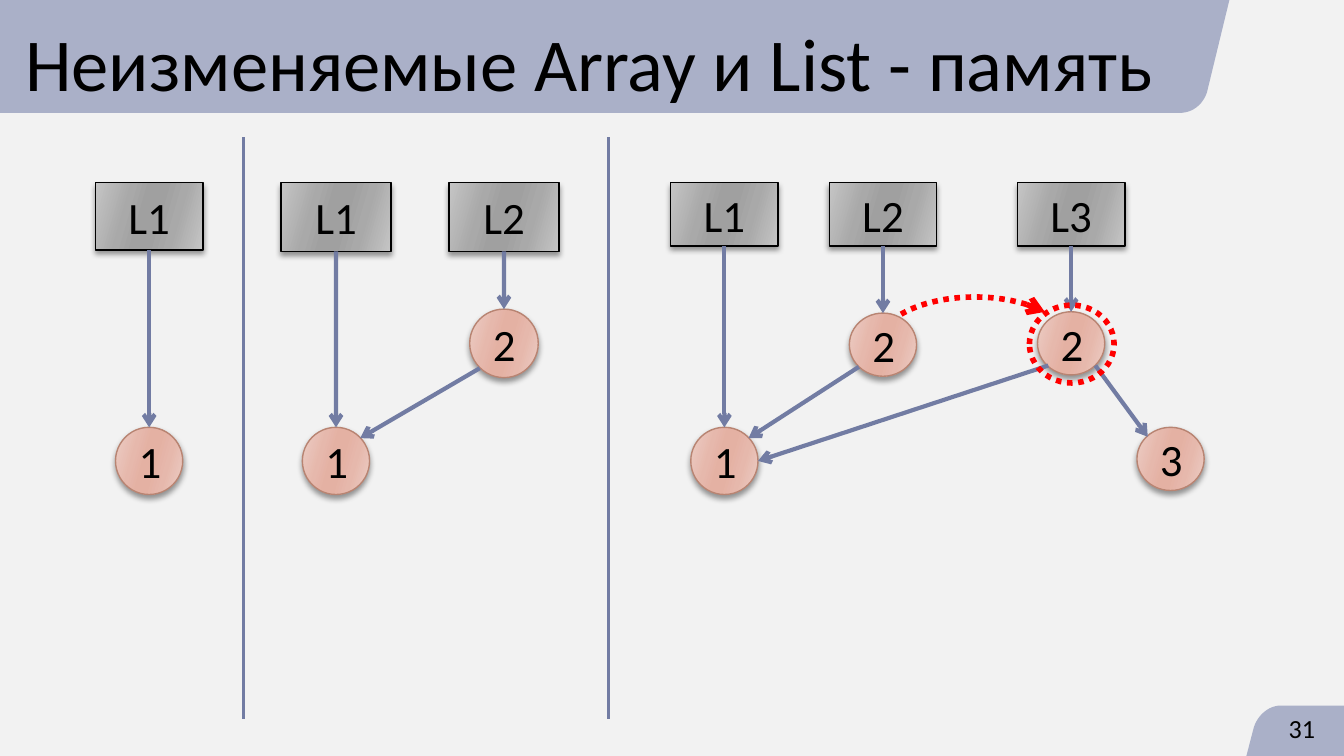
from lxml import etree
from pptx import Presentation
from pptx.dml.color import RGBColor
from pptx.enum.dml import MSO_LINE
from pptx.enum.shapes import MSO_CONNECTOR, MSO_SHAPE
from pptx.enum.text import MSO_ANCHOR, PP_ALIGN
from pptx.oxml.ns import qn
from pptx.util import Inches, Pt

STRAIGHT = MSO_CONNECTOR.STRAIGHT
RECTANGLE, OVAL, ARC = MSO_SHAPE.RECTANGLE, MSO_SHAPE.OVAL, MSO_SHAPE.ARC
DOTTED = MSO_LINE.ROUND_DOT
TOP, MIDDLE, BOTTOM = MSO_ANCHOR.TOP, MSO_ANCHOR.MIDDLE, MSO_ANCHOR.BOTTOM
LEFT, CENTER = PP_ALIGN.LEFT, PP_ALIGN.CENTER
TOP_SITE, BOTTOM_SITE = 0, 2
FONT = "Calibri"
COLORS = {
    "background": "F2F2F2", "band": "AAB0C8", "text": "000000",
    "link": "727CA3", "box_line": "000000", "node_line": "B88472",
    "highlight": "FF0000", "shadow": "000000",
}
GRADIENT_POSITIONS = (0, 30, 45, 55, 73, 100)
BOX_SHADES = ("C5C5C5", "A9A9A9", "A0A0A0")
NODE_SHADES = ("ECCEC6", "E6B8AC", "E4B1A3")
BOX_TOP = 1.36
LIST_HEADS = [
    ("L1", 0.71, 0.8, 0.5, "1", 3.18, 0.5, 0.5),
    ("L1", 2.09, 0.82, 0.51, "1", 3.18, 0.5, 0.5),
    ("L2", 3.34, 0.82, 0.51, "2", 2.3, 0.51, 0.51),
    ("L1", 4.99, 0.8, 0.47, "1", 3.18, 0.5, 0.5),
    ("L2", 6.17, 0.8, 0.47, "2", 2.33, 0.5, 0.47),
    ("L3", 7.57, 0.8, 0.47, "2", 2.32, 0.5, 0.47),
]
NODE_LINKS = [
    ((3.57, 2.74), (2.68, 3.26)),
    ((6.39, 2.73), (5.57, 3.26)),
    ((7.8, 2.72), (5.64, 3.43)),
    ((8.15, 2.72), (8.54, 3.25)),
]
DIVIDERS = (1.81, 4.53)


def rgb(name):
    """Return the palette colour with this name."""
    return RGBColor.from_string(COLORS[name])


def curve(start, first, second, end, steps=12):
    """Return points along a cubic Bezier curve."""
    points = []
    for step in range(steps + 1):
        t = step / steps
        weights = ((1 - t) ** 3, 3 * t * (1 - t) ** 2, 3 * t * t * (1 - t), t ** 3)
        corners = (start, first, second, end)
        points.append(tuple(sum(w * c[axis] for w, c in zip(weights, corners))
                            for axis in (0, 1)))
    return points


def add_band(page, points):
    """Draw a filled outline through points given in inches."""
    corners = [(Inches(x), Inches(y)) for x, y in points]
    builder = page.shapes.build_freeform(*corners[0])
    builder.add_line_segments(corners[1:], close=True)
    band = builder.convert_to_shape()
    band.shadow.inherit = False
    band.fill.solid()
    band.fill.fore_color.rgb = rgb("band")
    band.line.fill.background()


def write_text(shape, text, size=24, align=CENTER, anchor=MIDDLE):
    """Put one formatted line of text into a shape."""
    frame = shape.text_frame
    frame.word_wrap = True
    frame.vertical_anchor = anchor
    para = frame.paragraphs[0]
    para.alignment = align
    span = para.add_run()
    span.text = text
    span.font.name = FONT
    span.font.size = Pt(size)
    span.font.color.rgb = rgb("text")


def add_label(page, text, left, top, width, height, **style):
    """Add a text box."""
    box = page.shapes.add_textbox(Inches(left), Inches(top), Inches(width), Inches(height))
    write_text(box, text, align=LEFT, **style)


def paint_gradient(shape, shades):
    """Fill a shape with a symmetric gradient of three shades."""
    shape.fill.gradient()
    shape.fill.gradient_angle = 344
    stops = shape.element.spPr.find(qn("a:gradFill")).find(qn("a:gsLst"))
    for stop in list(stops):
        stops.remove(stop)
    for position, shade in zip(GRADIENT_POSITIONS, shades + shades[::-1]):
        stop = etree.SubElement(stops, qn("a:gs"), pos=str(position * 1000))
        etree.SubElement(stop, qn("a:srgbClr"), val=shade)


def add_soft_shadow(shape):
    """Give a shape a short shadow straight below it."""
    shape.shadow.inherit = False
    effects = shape.element.spPr.find(qn("a:effectLst"))
    shadow = etree.SubElement(effects, qn("a:outerShdw"), blurRad=str(Pt(3)),
                              dist=str(Pt(2)), dir="5400000", rotWithShape="0")
    color = etree.SubElement(shadow, qn("a:srgbClr"), val=COLORS["shadow"])
    etree.SubElement(color, qn("a:alpha"), val="40000")


def add_cell(page, kind, text, left, top, width, height):
    """Add a list head box or a round list node."""
    shades, edge = (BOX_SHADES, "box_line") if kind == RECTANGLE else (NODE_SHADES, "node_line")
    cell = page.shapes.add_shape(kind, Inches(left), Inches(top), Inches(width), Inches(height))
    paint_gradient(cell, shades)
    cell.line.color.rgb = rgb(edge)
    cell.line.width = Pt(0.75)
    add_soft_shadow(cell)
    write_text(cell, text)
    return cell


def add_arrowhead(shape):
    """Put an open arrowhead at the end of a line."""
    etree.SubElement(shape.element.spPr.find(qn("a:ln")), qn("a:tailEnd"), type="arrow")


def add_link(page, start=(0, 0), end=(0, 0), width=2.25, arrow=True):
    """Add a straight line between two points in inches."""
    ends = [Inches(value) for value in (*start, *end)]
    link = page.shapes.add_connector(STRAIGHT, *ends)
    link.line.color.rgb = rgb("link")
    link.line.width = Pt(width)
    if arrow:
        add_arrowhead(link)
    etree.SubElement(link.element.spPr, qn("a:effectLst"))
    return link


def add_list_head(page, name, left, width, height, value, node_top, node_width, node_height):
    """Add a head box, the node centred below it and the arrow between them."""
    head = add_cell(page, RECTANGLE, name, left, BOX_TOP, width, height)
    node_left = left + (width - node_width) / 2
    node = add_cell(page, OVAL, value, node_left, node_top, node_width, node_height)
    link = add_link(page)
    link.begin_connect(head, BOTTOM_SITE)
    link.end_connect(node, TOP_SITE)


def add_highlight(page, kind, left, top, width, height):
    """Add a dotted red outline without fill."""
    mark = page.shapes.add_shape(kind, Inches(left), Inches(top), Inches(width), Inches(height))
    mark.shadow.inherit = False
    mark.fill.background()
    mark.line.color.rgb = rgb("highlight")
    mark.line.width = Pt(3)
    mark.line.dash_style = DOTTED
    return mark


def main():
    """Build the slide and save it."""
    deck = Presentation()
    deck.slide_width = Inches(10)
    deck.slide_height = deck.slide_width * 9 // 16
    page = deck.slides.add_slide(deck.slide_layouts[6])
    page.background.fill.solid()
    page.background.fill.fore_color.rgb = rgb("background")

    add_band(page, [(10, 5.25), (10, 5.64), (9.27, 5.64),
                    *curve((9.33, 5.41), (9.36, 5.32), (9.44, 5.25), (9.53, 5.25))])
    add_band(page, [(-0.02, -0.01), (9.15, -0.01),
                    *curve((8.98, 0.69), (8.95, 0.78), (8.87, 0.84), (8.78, 0.84)),
                    (-0.02, 0.84)])
    add_label(page, "Неизменяемые Array и List - память", 0.09, 0.03, 9, 0.81,
              size=40, anchor=BOTTOM)
    add_label(page, "31", 9.49, 5.25, 0.47, 0.3, size=14, anchor=TOP)

    for x in DIVIDERS:
        add_link(page, (x, 1.02), (x, 5.35), width=1.5, arrow=False)
    for head in LIST_HEADS:
        add_list_head(page, *head)
    add_cell(page, OVAL, "3", 8.46, 3.18, 0.5, 0.47)
    for start, end in NODE_LINKS:
        add_link(page, start, end)

    node_arc = add_highlight(page, ARC, 6.54, 2.21, 1.43, 0.71)
    node_arc.adjustments[0] = 121.46
    node_arc.adjustments[1] = 200.89
    add_arrowhead(node_arc)
    add_highlight(page, OVAL, 7.66, 2.27, 0.63, 0.58)
    deck.save("out.pptx")


if __name__ == "__main__":
    main()
